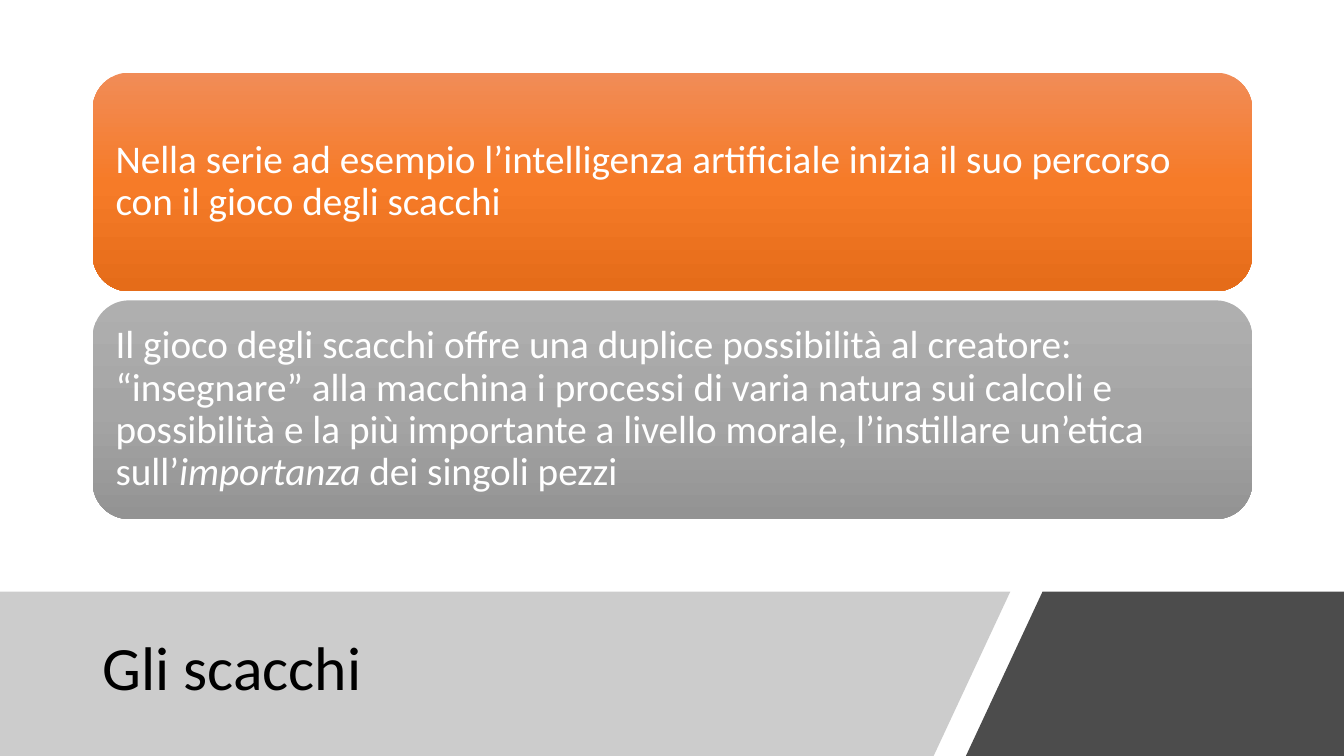
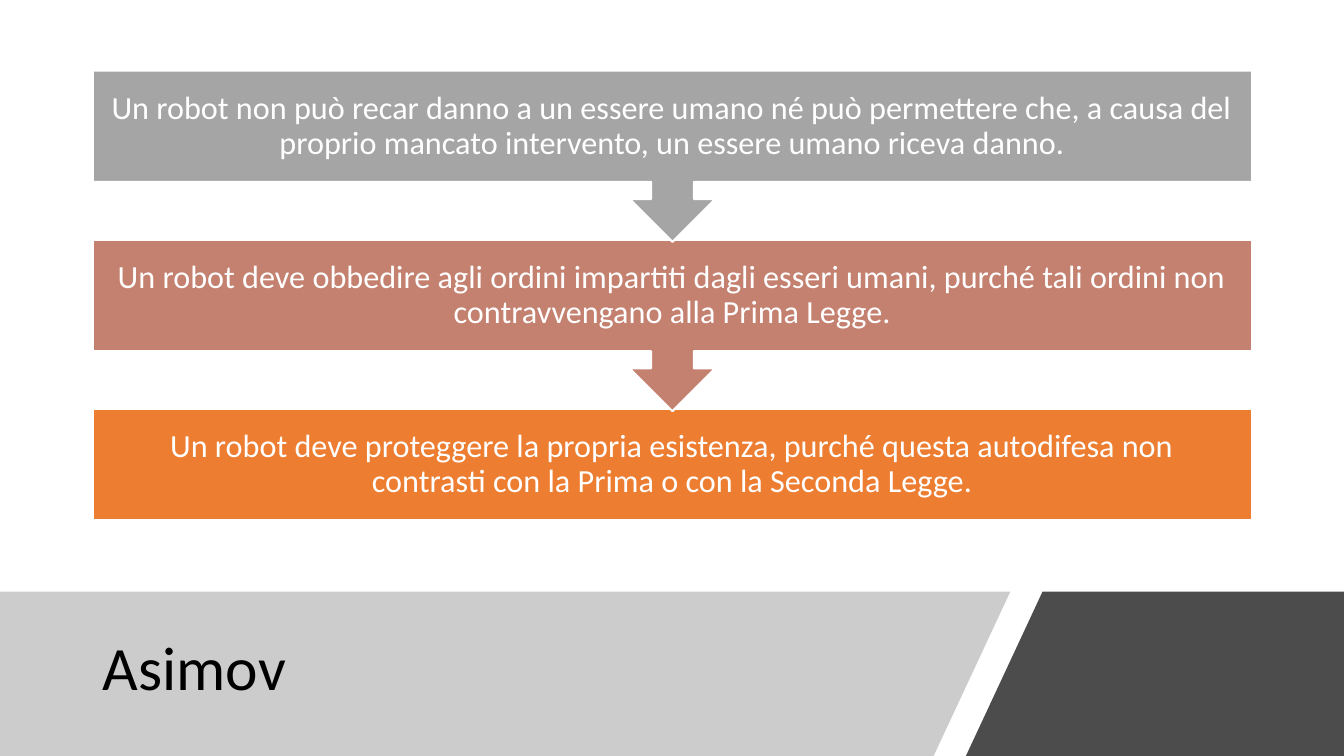
from copy import deepcopy

from lxml.etree import SubElement
from pptx import Presentation
from pptx.dml.color import RGBColor
from pptx.enum.shapes import MSO_SHAPE as Preset
from pptx.enum.text import MSO_ANCHOR as Anchor, MSO_AUTO_SIZE as AutoSize, PP_ALIGN as Align
from pptx.oxml.ns import qn
from pptx.util import Inches, Pt

FONT = "Calibri"
WHITE = "FFFFFF"
BLACK = "000000"
WIDTH, HEIGHT = 13.33, 7.5
BAND_TOP = 5.87
LEFT_BAND = [(0, BAND_TOP), (10.02, BAND_TOP), (9.26, HEIGHT), (0, HEIGHT)]
RIGHT_BAND = [(10.34, BAND_TOP), (WIDTH, BAND_TOP), (WIDTH, HEIGHT), (9.58, HEIGHT)]
CONTENT_LEFT, CONTENT_WIDTH = 0.92, 11.5

CARD_TOP, CARD_HEIGHT, CARD_PITCH = 0.72, 2.17, 2.26
CARDS = [
    (
        ("F18C57", "F67B28", "E56C19"),
        [("Nella serie ad esempio l’intelligenza artificiale inizia il suo percorso con il gioco degli scacchi", False)],
    ),
    (
        ("AFAFAF", "A5A5A5", "939393"),
        [
            ("Il gioco degli scacchi offre una duplice possibilità al creatore: “insegnare” alla macchina i processi "
             "di varia natura sui calcoli e possibilità e la più importante a livello morale, l’instillare un’etica "
             "sull’", False),
            ("importanza", True),
            (" dei singoli pezzi", False),
        ],
    ),
]

LAW_TOP, LAW_PITCH, CALLOUT_HEIGHT, BOX_HEIGHT = 0.7, 1.68, 1.7, 1.1
LAWS = [
    ("A5A5A5", "Un robot non può recar danno a un essere umano né può permettere che, a causa del proprio mancato "
               "intervento, un essere umano riceva danno."),
    ("C48170", "Un robot deve obbedire agli ordini impartiti dagli esseri umani, purché tali ordini non "
               "contravvengano alla Prima Legge."),
    ("ED7D31", "Un robot deve proteggere la propria esistenza, purché questa autodifesa non contrasti con la Prima "
               "o con la Seconda Legge."),
]


def color(hex_string):
    return RGBColor.from_string(hex_string)


def fill_solid(shape, hex_string):
    shape.fill.solid()
    shape.fill.fore_color.rgb = color(hex_string)


def fill_gradient(shape, hex_strings):
    shape.fill.gradient()
    shape.fill.gradient_angle = 270
    stop_list = shape._element.spPr.find(".//" + qn("a:gsLst"))
    while len(stop_list) < len(hex_strings):
        stop_list.append(deepcopy(stop_list[0]))
    for index, (stop, hex_string) in enumerate(zip(shape.fill.gradient_stops, hex_strings)):
        stop.position = index / (len(hex_strings) - 1)
        stop.color.rgb = color(hex_string)


def write_text(shape, runs, size, hex_string, alignment=Align.LEFT, inset=0.1):
    frame = shape.text_frame
    frame.word_wrap = True
    frame.auto_size = AutoSize.NONE
    frame.vertical_anchor = Anchor.MIDDLE
    frame.margin_left = frame.margin_right = Inches(inset)
    frame.margin_top = frame.margin_bottom = Inches(min(inset, 0.18))
    paragraph = frame.paragraphs[0]
    paragraph.alignment = alignment
    paragraph.line_spacing = 0.9
    for text, italic in runs:
        run = paragraph.add_run()
        run.text = text
        run.font.name = FONT
        run.font.size = Pt(size)
        run.font.italic = italic
        run.font.color.rgb = color(hex_string)


def add_band(slide, points, hex_string, opacity):
    corners = [(Inches(x), Inches(y)) for x, y in points]
    builder = slide.shapes.build_freeform(*corners[0], scale=1.0)
    builder.add_line_segments(corners[1:], close=True)
    band = builder.convert_to_shape()
    band.shadow.inherit = False
    fill_solid(band, hex_string)
    band.line.fill.background()
    rgb = band._element.spPr.find(".//" + qn("a:srgbClr"))
    SubElement(rgb, qn("a:alpha"), val=str(opacity * 1000))
    return band


def add_block(slide, preset, top, height):
    block = slide.shapes.add_shape(
        preset, Inches(CONTENT_LEFT), Inches(top), Inches(CONTENT_WIDTH), Inches(height)
    )
    block.shadow.inherit = False
    return block


def add_titled_slide(presentation, text):
    slide = presentation.slides.add_slide(presentation.slide_layouts[5])
    title = slide.shapes.title
    title.left, title.top = Inches(CONTENT_LEFT), Inches(6.05)
    title.width, title.height = Inches(8.44), Inches(1.2)
    write_text(title, [(text, False)], 44, BLACK)
    left_band = add_band(slide, LEFT_BAND, "808080", 40)
    title._element.addprevious(left_band._element)
    add_band(slide, RIGHT_BAND, BLACK, 70)
    return slide


def add_card(slide, top, hex_strings, runs):
    card = add_block(slide, Preset.ROUNDED_RECTANGLE, top, CARD_HEIGHT)
    fill_gradient(card, hex_strings)
    card.line.fill.background()
    write_text(card, runs, 28, WHITE, inset=0.12)


def add_law(slide, top, hex_string, text, is_last):
    if is_last:
        law = add_block(slide, Preset.RECTANGLE, top, BOX_HEIGHT)
    else:
        law = add_block(slide, Preset.DOWN_ARROW_CALLOUT, top, CALLOUT_HEIGHT)
    fill_solid(law, hex_string)
    law.line.color.rgb = color(WHITE)
    law.line.width = Pt(1.5)
    write_text(law, [(text, False)], 23, WHITE, Align.CENTER, 0.18)


def main():
    presentation = Presentation()
    presentation.slide_width = Inches(WIDTH)
    presentation.slide_height = Inches(HEIGHT)

    chess = add_titled_slide(presentation, "Gli scacchi")
    for index, (hex_strings, runs) in enumerate(CARDS):
        add_card(chess, CARD_TOP + index * CARD_PITCH, hex_strings, runs)

    asimov = add_titled_slide(presentation, "Asimov")
    last = len(LAWS) - 1
    for index, (hex_string, text) in reversed(list(enumerate(LAWS))):
        add_law(asimov, LAW_TOP + index * LAW_PITCH, hex_string, text, index == last)

    presentation.save("out.pptx")


if __name__ == "__main__":
    main()
